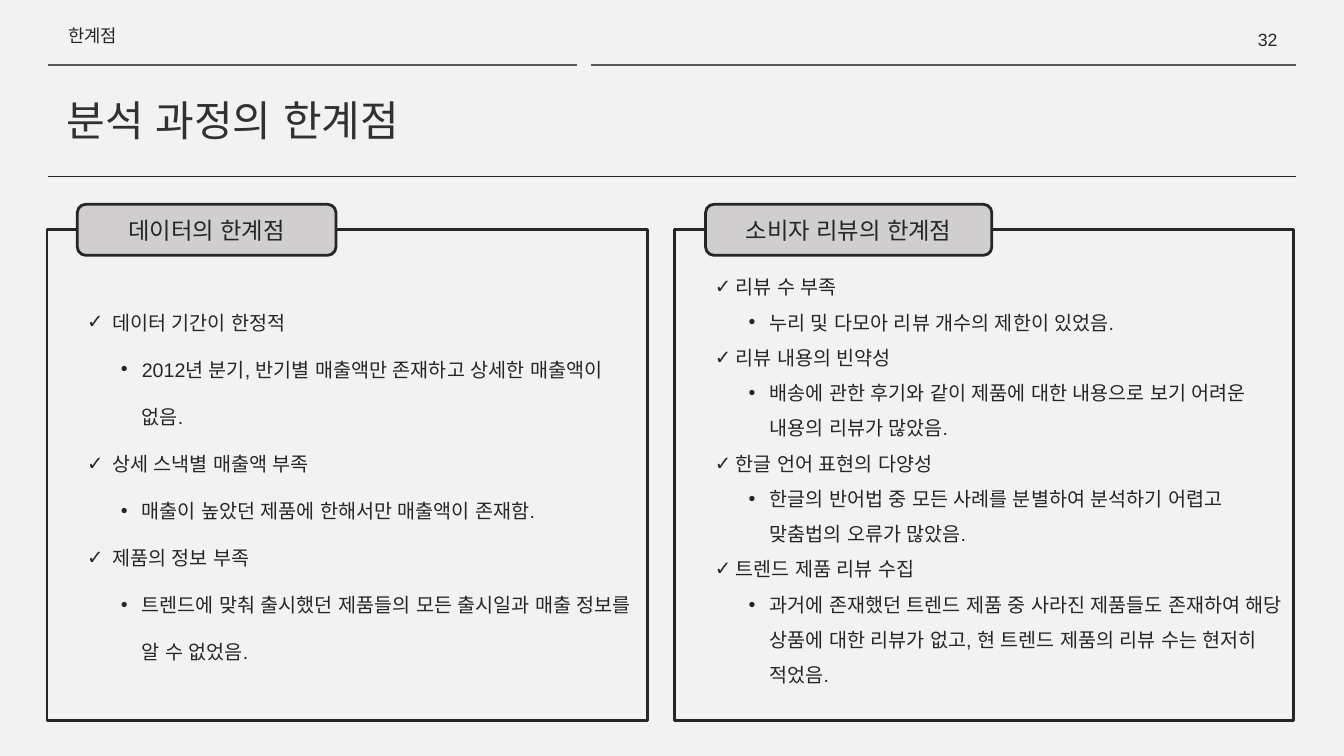
from dataclasses import dataclass
from typing import NamedTuple

from lxml import etree
from pptx import Presentation
from pptx.dml.color import RGBColor
from pptx.enum.shapes import MSO_CONNECTOR, MSO_SHAPE
from pptx.enum.text import MSO_ANCHOR, PP_ALIGN
from pptx.oxml.ns import qn
from pptx.util import Pt

STRAIGHT = MSO_CONNECTOR.STRAIGHT
RECTANGLE, ROUNDED = MSO_SHAPE.RECTANGLE, MSO_SHAPE.ROUNDED_RECTANGLE
MIDDLE = MSO_ANCHOR.MIDDLE
LEFT, CENTER, RIGHT = PP_ALIGN.LEFT, PP_ALIGN.CENTER, PP_ALIGN.RIGHT
TITLE_ONLY = 5


@dataclass(frozen=True)
class Theme:
    font: str = "Arial"
    background: str = "F2F2F2"
    ink: str = "262626"
    title_ink: str = "313131"
    rule: str = "595959"
    badge: str = "D0CECE"
    header_size: float = 19
    title_size: float = 45
    badge_size: float = 25
    body_size: float = 21
    outline: float = 3


THEME = Theme()


class Box(NamedTuple):
    left: float
    top: float
    width: float
    height: float

    def lengths(self):
        return [Pt(value) for value in self]


class Rule(NamedTuple):
    left: float
    right: float
    y: float
    color: str
    weight: float


class Topic(NamedTuple):
    heading: str
    detail: str


class Bullet(NamedTuple):
    mark: str
    level: int
    margin: float
    hanging: float


@dataclass(frozen=True)
class Panel:
    box: Box
    badge_box: Box
    label: str
    line_spacing: float
    heading_bullet: Bullet
    topics: tuple[Topic, ...]


DETAIL_BULLET = Bullet("•", 2, 94.5, 22.5)
RULES = (
    Rule(51.84, 618.5, 69.84, THEME.rule, 1.5),
    Rule(633.6, 1388.16, 69.84, THEME.rule, 1.5),
    Rule(51.84, 1388.16, 188.64, THEME.ink, 0.5),
)
PANELS = (
    Panel(
        Box(50.4, 246.24, 643.68, 525.6), Box(82.8, 218.88, 277.2, 54.72),
        "데이터의 한계점", 2.0, Bullet("✓", 1, 63, 27),
        (
            Topic("데이터 기간이 한정적",
                  "2012년 분기, 반기별 매출액만 존재하고 상세한 매출액이 없음."),
            Topic("상세 스낵별 매출액 부족",
                  "매출이 높았던 제품에 한해서만 매출액이 존재함."),
            Topic("제품의 정보 부족",
                  "트렌드에 맞춰 출시했던 제품들의 모든 출시일과 매출 정보를 알 수 없었음."),
        ),
    ),
    Panel(
        Box(722.88, 246.24, 663.12, 525.6), Box(756, 218.88, 306.72, 54.72),
        "소비자 리뷰의 한계점", 1.5, Bullet("✓", 1, 58.5, 22.5),
        (
            Topic("리뷰 수 부족", "누리 및 다모아 리뷰 개수의 제한이 있었음."),
            Topic("리뷰 내용의 빈약성",
                  "배송에 관한 후기와 같이 제품에 대한 내용으로 보기 어려운 내용의 리뷰가 많았음."),
            Topic("한글 언어 표현의 다양성",
                  "한글의 반어법 중 모든 사례를 분별하여 분석하기 어렵고 맞춤법의 오류가 많았음."),
            Topic("트렌드 제품 리뷰 수집",
                  "과거에 존재했던 트렌드 제품 중 사라진 제품들도 존재하여 해당 상품에 대한 "
                  "리뷰가 없고, 현 트렌드 제품의 리뷰 수는 현저히 적었음."),
        ),
    ),
)


def rgb(color: str) -> RGBColor:
    return RGBColor.from_string(color)


def set_attributes(target, formats: dict) -> None:
    for name, value in formats.items():
        setattr(target, name, value)


def write(paragraph, text: str, size: float, color: str = THEME.ink, **formats) -> None:
    """Add one run, with the theme font for Latin and Korean alike."""
    set_attributes(paragraph, formats)
    run = paragraph.add_run()
    run.text = text
    set_attributes(run.font, {"size": Pt(size), "name": THEME.font, "bold": False})
    run.font.color.rgb = rgb(color)
    properties = run.font._element
    east_asian = etree.Element(qn("a:ea"), typeface=THEME.font)
    properties.find(qn("a:latin")).addnext(east_asian)


def add_bullet(paragraph, bullet: Bullet) -> None:
    paragraph.level = bullet.level
    properties = paragraph._p.get_or_add_pPr()
    properties.set("marL", str(Pt(bullet.margin)))
    properties.set("indent", str(-Pt(bullet.hanging)))
    etree.SubElement(properties, qn("a:buFont"), typeface=THEME.font)
    etree.SubElement(properties, qn("a:buChar"), char=bullet.mark)


def add_rule(slide, rule: Rule) -> None:
    line = slide.shapes.add_connector(
        STRAIGHT, Pt(rule.left), Pt(rule.y), Pt(rule.right), Pt(rule.y))
    line.line.color.rgb = rgb(rule.color)
    line.line.width = Pt(rule.weight)
    etree.SubElement(line._element.spPr, qn("a:effectLst"))


def add_label(slide, box: Box, text: str, alignment) -> None:
    frame = slide.shapes.add_textbox(*box.lengths()).text_frame
    set_attributes(frame, {"word_wrap": True, "vertical_anchor": MIDDLE})
    write(frame.paragraphs[0], text, THEME.header_size, alignment=alignment)


def add_outlined(slide, kind, box: Box, fill: str | None = None):
    """Add an outlined shape and return its text frame."""
    shape = slide.shapes.add_shape(kind, *box.lengths())
    shape.shadow.inherit = False
    if fill:
        shape.fill.solid()
        shape.fill.fore_color.rgb = rgb(fill)
    else:
        shape.fill.background()
    shape.line.color.rgb = rgb(THEME.ink)
    shape.line.width = Pt(THEME.outline)
    set_attributes(shape.text_frame, {"word_wrap": True, "vertical_anchor": MIDDLE})
    return shape.text_frame


def add_panel(slide, panel: Panel) -> None:
    frame = add_outlined(slide, RECTANGLE, panel.box)
    lines = [line for topic in panel.topics for line in
             ((topic.heading, panel.heading_bullet), (topic.detail, DETAIL_BULLET))]
    for index, (text, bullet) in enumerate(lines):
        paragraph = frame.add_paragraph() if index else frame.paragraphs[0]
        add_bullet(paragraph, bullet)
        write(paragraph, text, THEME.body_size,
              alignment=LEFT, line_spacing=panel.line_spacing)
    badge = add_outlined(slide, ROUNDED, panel.badge_box, THEME.badge)
    write(badge.paragraphs[0], panel.label, THEME.badge_size, alignment=CENTER)


def set_title(slide, box: Box, text: str) -> None:
    title = slide.shapes.title
    set_attributes(title, dict(zip(Box._fields, box.lengths())))
    frame = title.text_frame
    set_attributes(frame, {
        "margin_left": 0, "margin_top": 0, "margin_right": 0, "margin_bottom": 0,
        "word_wrap": True, "vertical_anchor": MIDDLE})
    write(frame.paragraphs[0], text, THEME.title_size, THEME.title_ink,
          alignment=LEFT, line_spacing=1.02)


def main() -> None:
    presentation = Presentation()
    set_attributes(presentation, {"slide_width": Pt(1440), "slide_height": Pt(810)})
    slide = presentation.slides.add_slide(presentation.slide_layouts[TITLE_ONLY])
    slide.background.fill.solid()
    slide.background.fill.fore_color.rgb = rgb(THEME.background)

    set_title(slide, Box(71.28, 89.28, 612.72, 77.04), "분석 과정의 한계점")
    add_label(slide, Box(1208.16, 27.36, 167.76, 28.8), "32", RIGHT)
    add_label(slide, Box(66.24, 19.44, 476.64, 37.44), "한계점", LEFT)
    for rule in RULES:
        add_rule(slide, rule)
    for panel in PANELS:
        add_panel(slide, panel)
    presentation.save("out.pptx")


if __name__ == "__main__":
    main()
